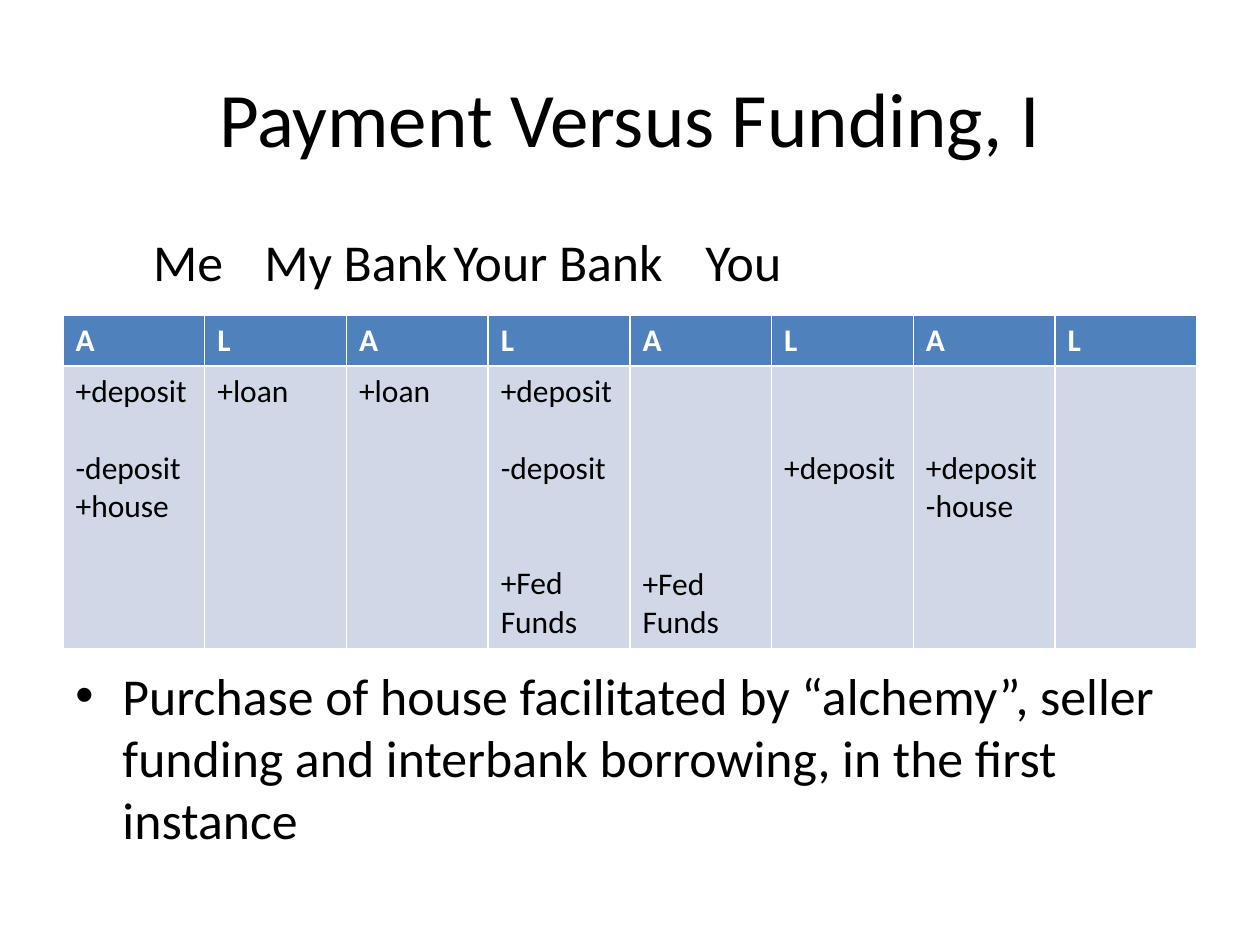
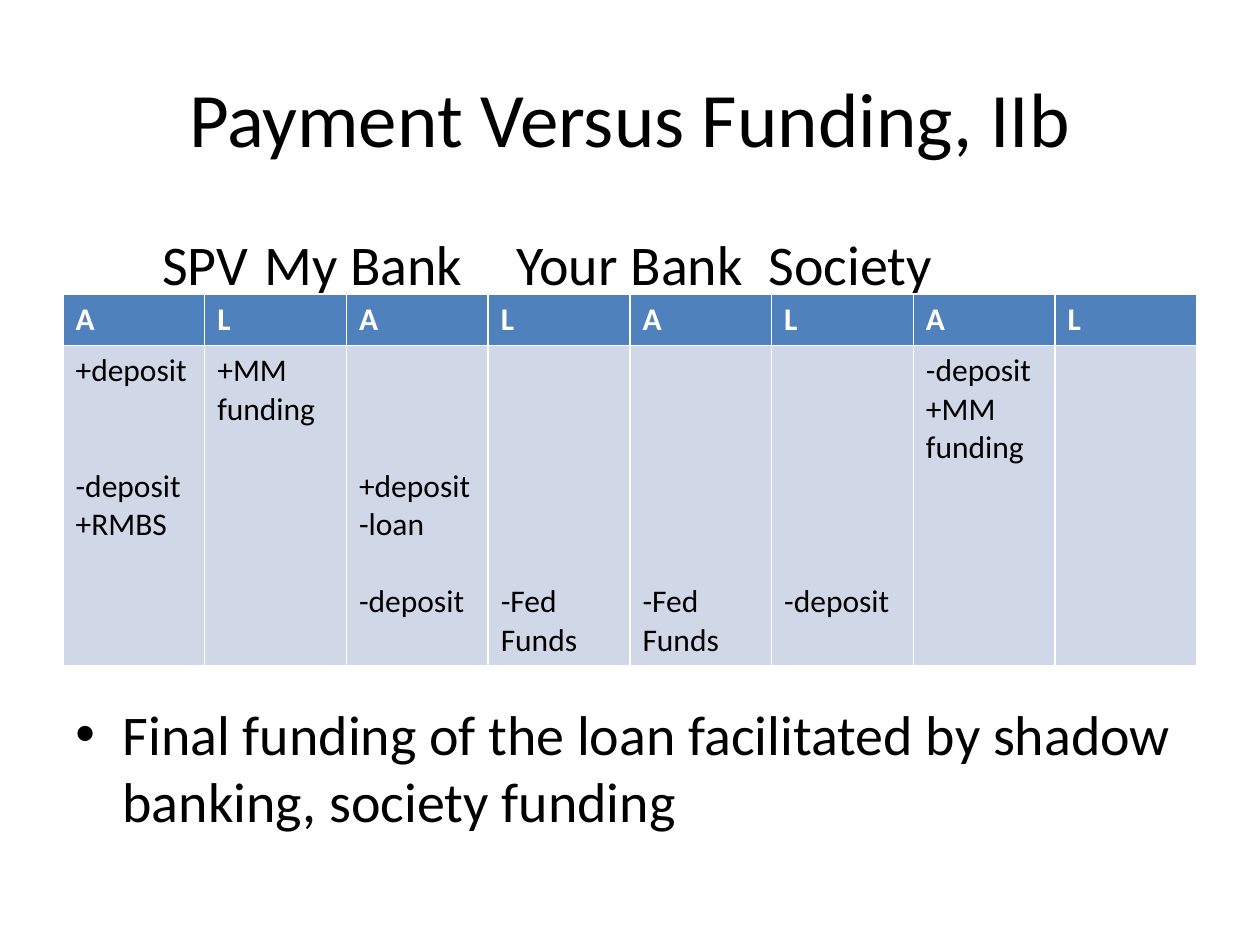
"""Build two slides that compare payment and funding with balance sheet tables."""
from lxml.etree import SubElement
from pptx import Presentation
from pptx.dml.color import RGBColor
from pptx.enum.text import MSO_ANCHOR, PP_ALIGN
from pptx.oxml.ns import qn
from pptx.util import Cm, Pt

BLACK, WHITE, HEADER_BLUE, BODY_BLUE = "000000", "FFFFFF", "4F81BD", "D0D8E8"
LEFT, WIDTH = Cm(1.27), Cm(22.86)
CELL_LINE = Pt(22)
CELL_MARGIN = Cm(0.13)
HEADER_HEIGHT = Cm(1.03)
BULLET_INDENT = Cm(0.95)
TAB_STOPS = [Cm(6), Cm(11.37), Cm(18.49)]
TITLE_FORMAT = {"name": "Calibri", "size": Pt(44), "bold": False}
HEADER_FORMAT = {"name": "Calibri", "size": Pt(18), "bold": True}
ENTRY_FORMAT = {"name": "Calibri", "size": Pt(18), "bold": False}

SLIDES = [
    {
        "title": "Payment Versus Funding, I",
        "holders": ["Me", "My Bank", "Your Bank", "You"],
        "holder_indent": Cm(1.57),
        "body_size": Pt(29.6),
        "bullet": "Purchase of house facilitated by “alchemy”, seller funding "
                  "and interbank borrowing, in the first instance",
        "bullet_gap": Pt(212.5),
        "table_top": Cm(6.35),
        "line_count": 7,
        "entries": ["+deposit||-deposit|+house", "+loan", "+loan",
                    "+deposit||-deposit|||+Fed Funds", "|||||+Fed Funds",
                    "||+deposit", "||+deposit|-house", ""],
    },
    {
        "title": "Payment Versus Funding, IIb",
        "holders": ["SPV", "My Bank", "Your Bank", "Society"],
        "holder_indent": Cm(1.75),
        "body_size": Pt(32),
        "bullet": "Final funding of the loan facilitated by shadow banking, "
                  "society funding",
        "bullet_gap": Pt(230),
        "table_top": Cm(5.93),
        "line_count": 8,
        "entries": ["+deposit|||-deposit|+RMBS", "+MM funding",
                    "|||+deposit|-loan||-deposit", "||||||-Fed Funds",
                    "||||||-Fed Funds", "||||||-deposit",
                    "-deposit|+MM funding", ""],
    },
]


def color(value):
    return RGBColor.from_string(value)


def write(paragraph, text, format_values, text_color=BLACK):
    font = paragraph.font
    paragraph.text = text
    for font in (paragraph.font, paragraph.runs[0].font):
        for name, value in format_values.items():
            setattr(font, name, value)
        font.color.rgb = color(text_color)


presentation = Presentation()
presentation.slide_width, presentation.slide_height = Cm(25.4), Cm(19.05)

for content in SLIDES:
    slide = presentation.slides.add_slide(presentation.slide_layouts[6])

    title_frame = slide.shapes.add_textbox(LEFT, Cm(0.76), WIDTH, Cm(3.18)).text_frame
    title_frame.word_wrap = True
    title_frame.vertical_anchor = MSO_ANCHOR.MIDDLE
    title_frame.paragraphs[0].alignment = PP_ALIGN.CENTER
    write(title_frame.paragraphs[0], content["title"], TITLE_FORMAT)

    body_frame = slide.shapes.add_textbox(LEFT, Cm(4.5), WIDTH, Cm(12.57)).text_frame
    body_frame.word_wrap = True
    body_format = {"name": "Calibri", "size": content["body_size"]}

    holders = body_frame.paragraphs[0]
    holder_properties = holders._p.get_or_add_pPr()
    holder_properties.set("marL", "0")
    holder_properties.set("indent", str(content["holder_indent"]))
    tab_list = SubElement(holder_properties, qn("a:tabLst"))
    for position in TAB_STOPS:
        SubElement(tab_list, qn("a:tab"), pos=str(position), algn="l")
    write(holders, "\t".join(content["holders"]), body_format)

    bullet = body_frame.add_paragraph()
    bullet.space_before = content["bullet_gap"]
    bullet_properties = bullet._p.get_or_add_pPr()
    bullet_properties.set("marL", str(BULLET_INDENT))
    bullet_properties.set("indent", str(-BULLET_INDENT))
    SubElement(bullet_properties, qn("a:buFont"), typeface="Arial")
    SubElement(bullet_properties, qn("a:buChar"), char="•")
    write(bullet, content["bullet"], body_format)

    entries = content["entries"]
    entry_height = CELL_LINE * content["line_count"] + 2 * CELL_MARGIN
    table = slide.shapes.add_table(2, len(entries), LEFT, content["table_top"],
                                   WIDTH, HEADER_HEIGHT + entry_height).table
    table.rows[0].height, table.rows[1].height = HEADER_HEIGHT, entry_height
    for column, entry in enumerate(entries):
        header, cell = table.cell(0, column), table.cell(1, column)
        for part, fill_color in ((header, HEADER_BLUE), (cell, BODY_BLUE)):
            part.fill.solid()
            part.fill.fore_color.rgb = color(fill_color)
        write(header.text_frame.paragraphs[0], "AL"[column % 2], HEADER_FORMAT, WHITE)

        previous_line = None
        for line, text in enumerate(entry.split("|")):
            if not text:
                continue
            if previous_line is None:
                paragraph = cell.text_frame.paragraphs[0]
                cell.margin_top = CELL_MARGIN + line * CELL_LINE
            else:
                paragraph = cell.text_frame.add_paragraph()
                paragraph.space_before = (line - previous_line - 1) * CELL_LINE
            write(paragraph, text, ENTRY_FORMAT)
            previous_line = line

presentation.save("out.pptx")
